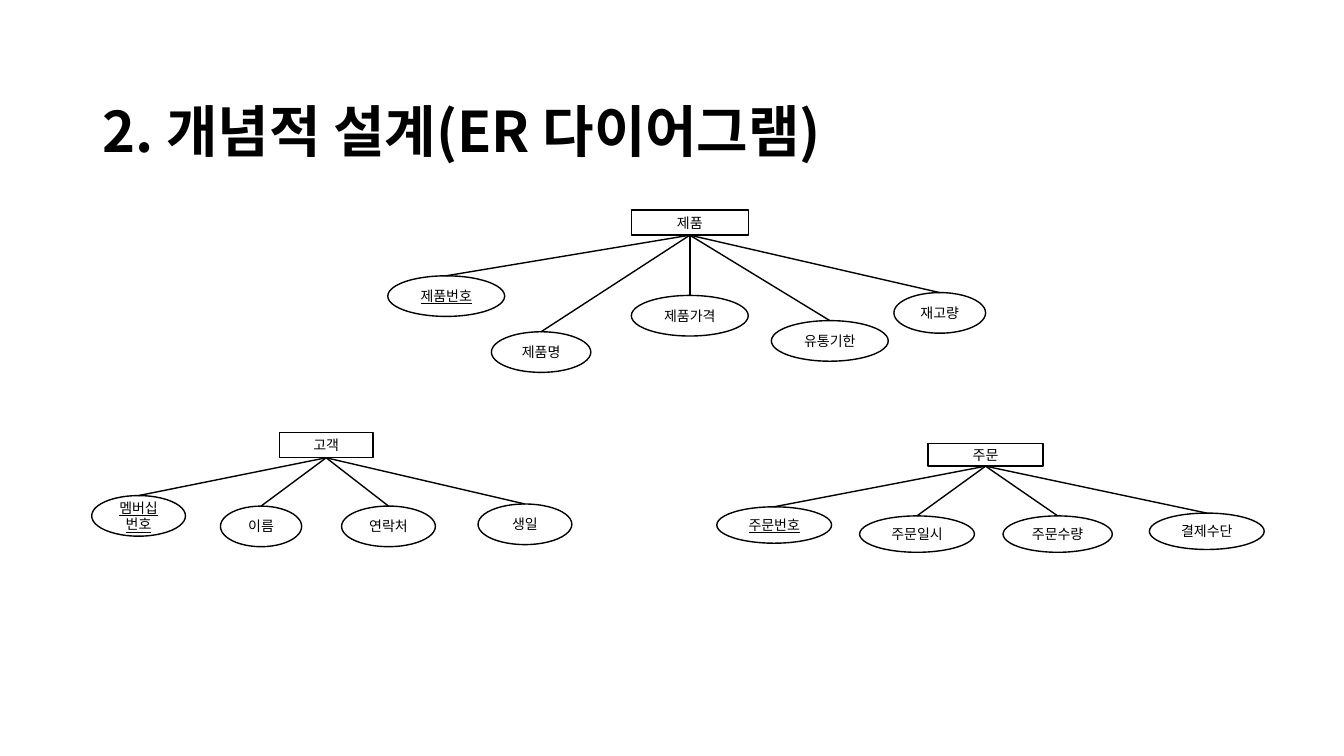
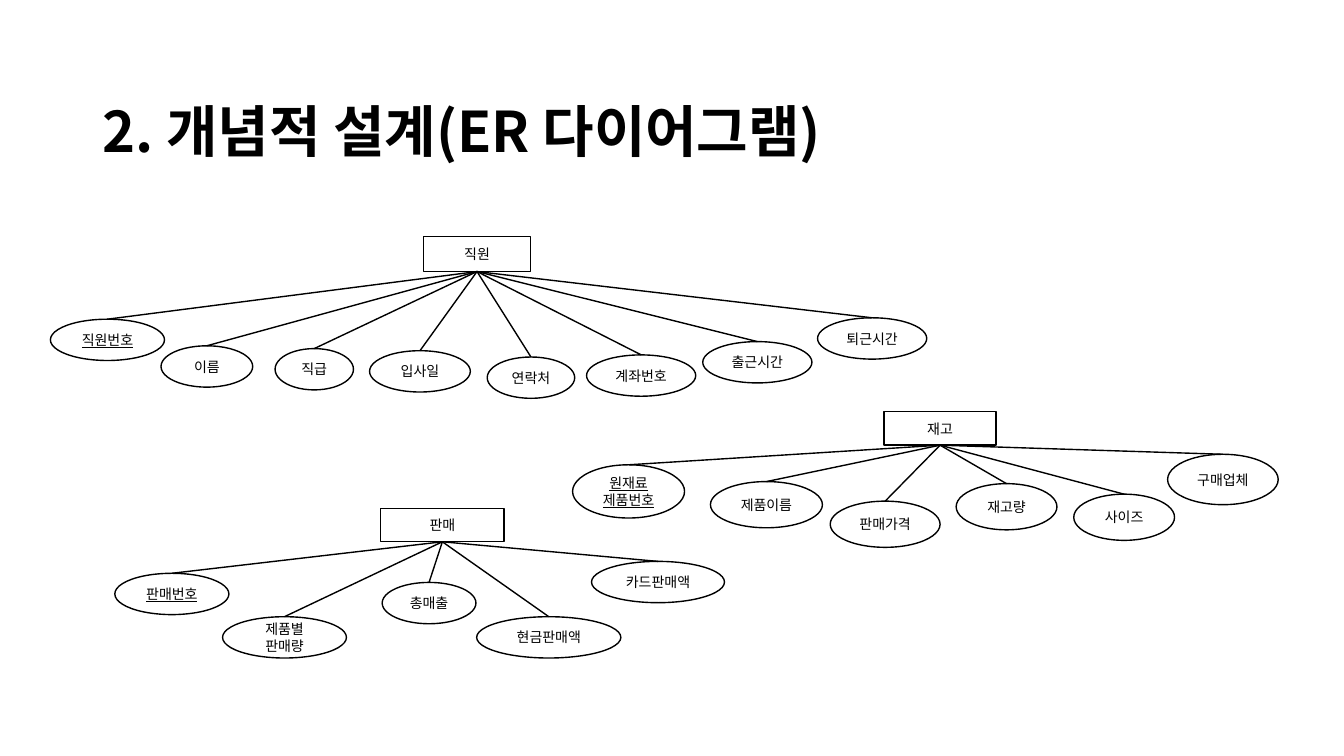
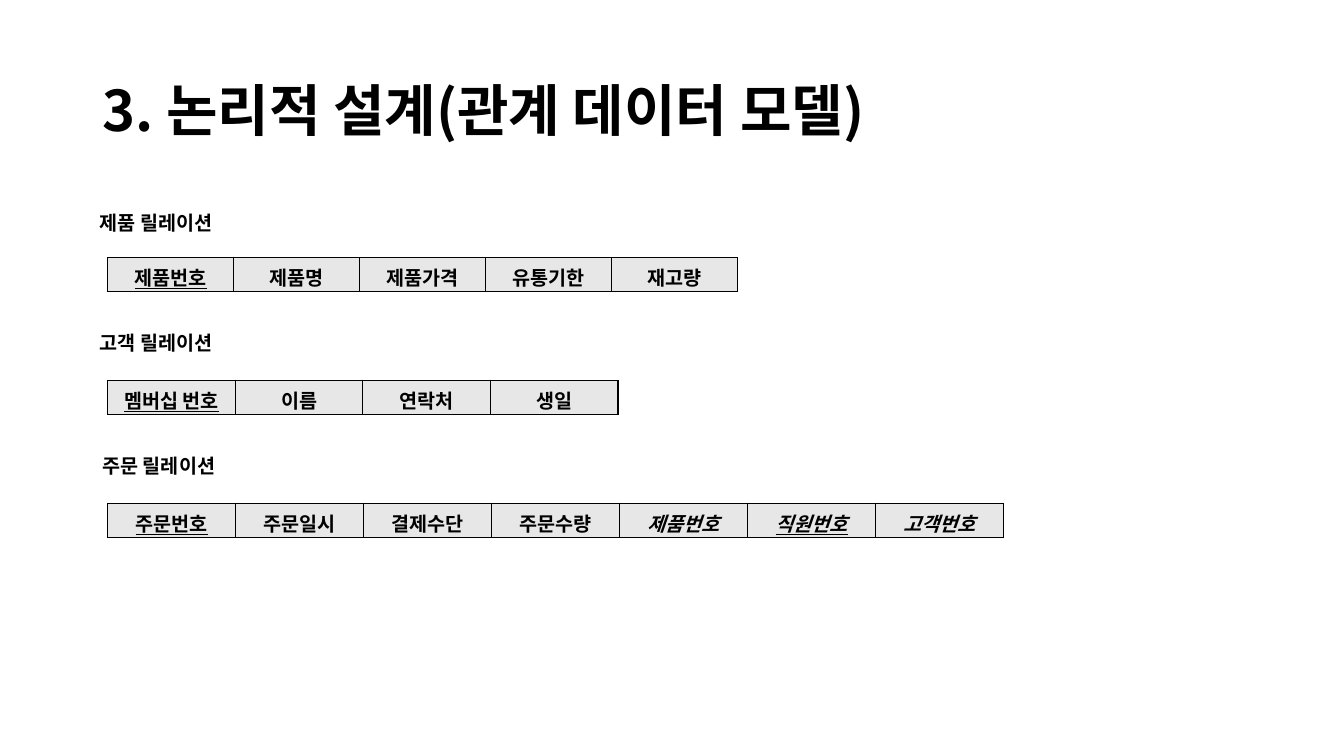
"""Build three slides on the conceptual and logical design of a shop database."""
from lxml import etree
from pptx import Presentation
from pptx.dml import color
from pptx.enum import shapes, text
from pptx.oxml import ns
from pptx.util import Pt

FONT = "Noto Sans CJK KR"
INK, PAPER, CELL = "000000", "FFFFFF", "E7E7E7"
ER_TITLE = "2. 개념적 설계(ER 다이어그램)"

# Entity: name, (left, top, width, height), attribute height, attributes with the key first.
# Attribute: name, left, top, width and, where it differs, height.
PRODUCT = ("제품", (451, 150, 83.5, 18), 29, [
    ("제품번호", 277, 197, 83.5), ("제품명", 351, 237, 71), ("제품가격", 451, 211, 83.5),
    ("유통기한", 551, 229, 83.5), ("재고량", 638.5, 209, 65.5)])
CUSTOMER = ("고객", (199.5, 309, 67, 18), 29, [
    ("멤버십 번호", 65.5, 354, 67), ("이름", 157.5, 361.5, 58), ("연락처", 244, 361.5, 67),
    ("생일", 341.5, 360, 67)])
ORDER = ("주문", (663, 317, 82, 16), 26, [
    ("주문번호", 512, 362, 82), ("주문일시", 614, 368.5, 82), ("주문수량", 716.5, 368.5, 78),
    ("결제수단", 821, 366.5, 82)])
EMPLOYEE = ("직원", (302.5, 169, 76.5, 25), 29.5, [
    ("직원번호", 36, 228, 81.5), ("이름", 115, 247, 65.5), ("직급", 196.5, 249, 56),
    ("입사일", 264, 250.5, 72), ("연락처", 348, 255, 62.5), ("계좌번호", 419, 253.5, 78),
    ("출근시간", 502, 244, 78), ("퇴근시간", 584, 227, 78)])
STOCK = ("재고", (631.5, 294, 80, 24), 33, [
    ("원재료\n제품번호", 409, 332, 80, 38), ("제품이름", 507.5, 344, 80),
    ("판매가격", 593, 358, 78.5), ("재고량", 683, 345.5, 72), ("사이즈", 767, 353, 72),
    ("구매업체", 834, 324.5, 79, 36)])
SALES = ("판매", (272, 363, 88, 24), 29.5, [
    ("판매번호", 82, 409.5, 81.5), ("제품별\n판매량", 159, 440.5, 88.5),
    ("총매출", 273, 416, 67), ("현금판매액", 340.5, 440.5, 103),
    ("카드판매액", 422.5, 401, 95)])

# Relation: name, label left and top, table top and width, columns with u / i marks.
RELATIONS = [
    ("제품 릴레이션", 64, 147, 184, 450,
     [("제품번호", "u"), ("제품명", ""), ("제품가격", ""), ("유통기한", ""), ("재고량", "")]),
    ("고객 릴레이션", 64, 233, 271.5, 364.5,
     [("멤버십 번호", "u"), ("이름", ""), ("연락처", ""), ("생일", "")]),
    ("주문 릴레이션", 66, 321, 359.5, 640,
     [("주문번호", "u"), ("주문일시", ""), ("결제수단", ""), ("주문수량", ""),
      ("제품번호", "i"), ("직원번호", "ui"), ("고객번호", "i")]),
]


def rgb(value):
    """Turn a hex string into a colour."""
    return color.RGBColor.from_string(value)


def write(frame, words, size, bold=False, marks="", align=text.PP_ALIGN.CENTER, spacing=None):
    """Fill a text frame, one paragraph a line, in the shared font."""
    frame.text = words
    for paragraph in frame.paragraphs:
        paragraph.alignment = align
        paragraph.line_spacing = spacing
        font = paragraph.font
        font.name, font.size, font.bold = FONT, Pt(size), bold
        font.underline, font.italic = "u" in marks, "i" in marks
        font.color.rgb = rgb(INK)
        latin = paragraph._p.find(".//" + ns.qn("a:latin"))
        east_asian = etree.Element(ns.qn("a:ea"), typeface=FONT)
        latin.addnext(east_asian)


def add_label(slide, words, box, size, wrap=True, anchor=text.MSO_ANCHOR.TOP, spacing=None):
    """Add a bold, left-aligned text box."""
    frame = slide.shapes.add_textbox(*map(Pt, box)).text_frame
    frame.word_wrap, frame.vertical_anchor = wrap, anchor
    if not wrap:
        frame.auto_size = text.MSO_AUTO_SIZE.SHAPE_TO_FIT_TEXT
    write(frame, words, size, bold=True, align=text.PP_ALIGN.LEFT, spacing=spacing)


def add_titled_slide(deck, title, spacing):
    """Add a blank slide with the shared title."""
    slide = deck.slides.add_slide(deck.slide_layouts[6])
    add_label(slide, title, (66, 29, 828, 104), 40,
              anchor=text.MSO_ANCHOR.MIDDLE, spacing=spacing)
    return slide


def add_node(slide, kind, words, box, marks=""):
    """Add an outlined entity or attribute."""
    node = slide.shapes.add_shape(kind, *map(Pt, box))
    node.shadow.inherit = False
    node.fill.solid()
    node.fill.fore_color.rgb = rgb(PAPER)
    node.line.color.rgb, node.line.width = rgb(INK), Pt(1)
    write(node.text_frame, words, 10, marks=marks)
    return node


def add_link(slide, entity, attribute):
    """Join the bottom of an entity to the top of its attribute."""
    link = slide.shapes.add_connector(shapes.MSO_CONNECTOR.STRAIGHT, 0, 0, 0, 0)
    link.begin_connect(entity, 2)
    link.end_connect(attribute, 0)
    link.line.color.rgb, link.line.width = rgb(INK), Pt(1)
    etree.SubElement(link._element.spPr, ns.qn("a:effectLst"))


def add_entity(slide, name, box, usual_height, attributes):
    """Add an entity with its linked attributes, the first one underlined as key."""
    entity = add_node(slide, shapes.MSO_SHAPE.RECTANGLE, name, box)
    for index, (label, left, top, width, *height) in enumerate(attributes):
        oval = (left, top, width, *(height or [usual_height]))
        attribute = add_node(slide, shapes.MSO_SHAPE.OVAL, label, oval, "" if index else "u")
        add_link(slide, entity, attribute)


def add_borders(cell):
    """Draw a thin line on all four sides of a cell."""
    properties = cell._tc.get_or_add_tcPr()
    for side in "LRTB":
        border = etree.SubElement(properties, ns.qn(f"a:ln{side}"), w=str(Pt(1)))
        fill = etree.SubElement(border, ns.qn("a:solidFill"))
        etree.SubElement(fill, ns.qn("a:srgbClr"), val=INK)


def add_relation(slide, name, left, top, table_top, width, columns):
    """Add a relation's name and its one-row table of columns."""
    add_label(slide, name, (left, top, 104.5, 24.5), 14, wrap=False)
    box = map(Pt, (77, table_top, width, 24.5))
    table = slide.shapes.add_table(1, len(columns), *box).table
    table.first_row = table.horz_banding = False
    for column, cell, (label, marks) in zip(table.columns, table.iter_cells(), columns):
        column.width = Pt(width / len(columns))
        cell.margin_bottom = 0
        add_borders(cell)
        cell.fill.solid()
        cell.fill.fore_color.rgb = rgb(CELL)
        write(cell.text_frame, label, 14, bold=True, marks=marks)


def main():
    """Build and save the deck."""
    deck = Presentation()
    deck.slide_width, deck.slide_height = Pt(960), Pt(540)
    for entities in ((PRODUCT, CUSTOMER, ORDER), (EMPLOYEE, STOCK, SALES)):
        slide = add_titled_slide(deck, ER_TITLE, 1.5)
        for entity in entities:
            add_entity(slide, *entity)
    slide = add_titled_slide(deck, "3. 논리적 설계(관계 데이터 모델)", 0.9)
    for relation in RELATIONS:
        add_relation(slide, *relation)
    deck.save("out.pptx")


main()
